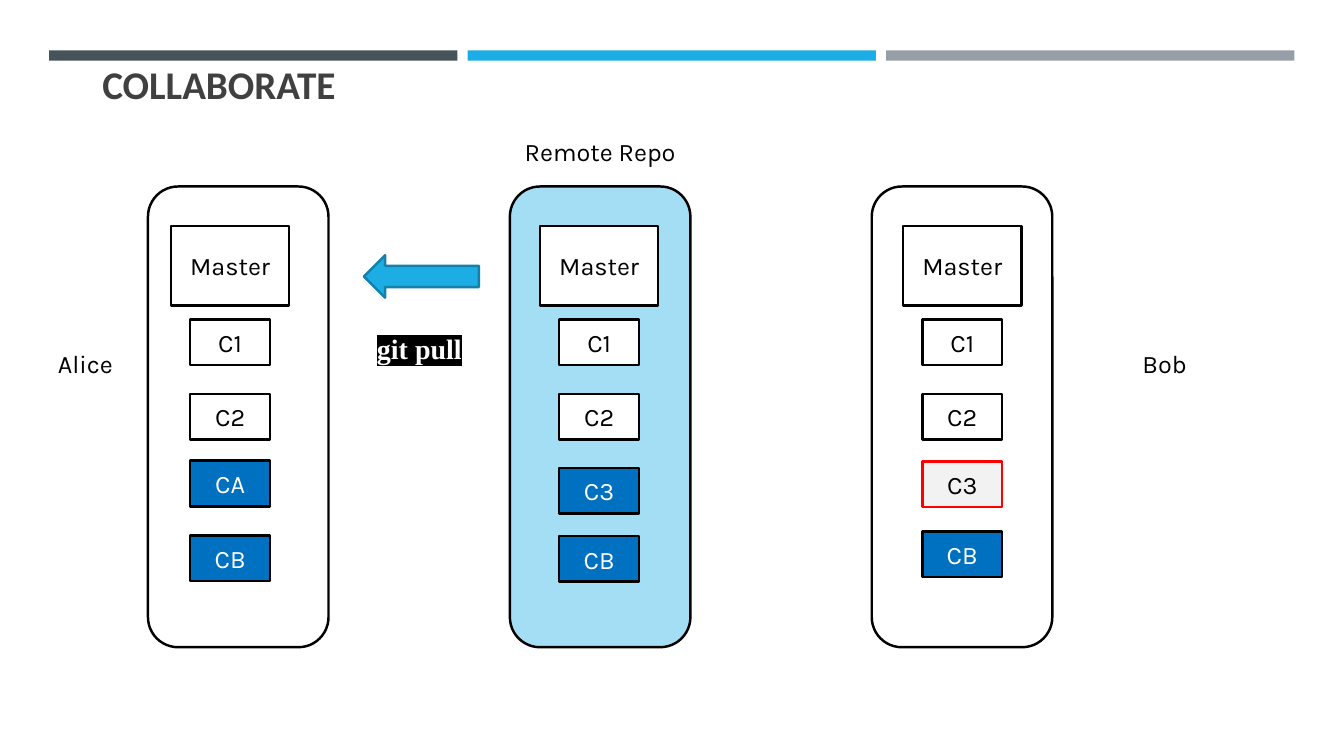
from lxml.etree import SubElement
from pptx import Presentation
from pptx.dml.color import RGBColor
from pptx.enum.shapes import MSO_SHAPE
from pptx.enum.text import MSO_ANCHOR, PP_ALIGN
from pptx.oxml.ns import qn
from pptx.util import Cm, Pt

BLACK = RGBColor(0x00, 0x00, 0x00)
WHITE = RGBColor(0xFF, 0xFF, 0xFF)
SLATE = RGBColor(0x46, 0x53, 0x59)
SKY = RGBColor(0x1C, 0xAD, 0xE4)
SKY_DARK = RGBColor(0x15, 0x80, 0xA9)
SKY_LIGHT = RGBColor(0xA4, 0xDE, 0xF4)
GREY = RGBColor(0x96, 0x9F, 0xA7)
TITLE_GREY = RGBColor(0x40, 0x40, 0x40)
BLUE = RGBColor(0x00, 0x70, 0xC0)
PALE_GREY = RGBColor(0xF2, 0xF2, 0xF2)
RED = RGBColor(0xFF, 0x00, 0x00)

REPO_WIDTH, REPO_HEIGHT = 4.55, 11.61
MASTER_WIDTH, MASTER_HEIGHT = 2.98, 2.01
COMMIT_WIDTH, COMMIT_HEIGHT = 2.01, 1.15


def write_text(shape, text, size=18, font="Karla", color=BLACK, bold=False,
               align=PP_ALIGN.CENTER, anchor=MSO_ANCHOR.MIDDLE, highlight=None):
    frame = shape.text_frame
    frame.word_wrap = True
    frame.vertical_anchor = anchor
    paragraph = frame.paragraphs[0]
    paragraph.alignment = align
    run = paragraph.add_run()
    run.text = text
    run.font.size = Pt(size)
    run.font.bold = bold
    run.font.color.rgb = color
    if highlight is not None:
        mark = SubElement(run.font._element, qn("a:highlight"))
        SubElement(mark, qn("a:srgbClr"), val=str(highlight))
    run.font.name = font


def add_label(slide, box, text, anchor=MSO_ANCHOR.TOP, **text_format):
    label = slide.shapes.add_textbox(*map(Cm, box))
    write_text(label, text, anchor=anchor, **text_format)


def add_block(slide, kind, box, fill, line=None):
    block = slide.shapes.add_shape(kind, *map(Cm, box))
    block.shadow.inherit = False
    block.fill.solid()
    block.fill.fore_color.rgb = fill
    if line is None:
        block.line.fill.background()
    else:
        block.line.color.rgb = line
        block.line.width = Pt(1.75)
    return block


def add_header(slide, left, top, width):
    # Three coloured bars with the title below
    gap = 0.26
    bar_width = (width - 2 * gap) / 3
    for index, color in enumerate((SLATE, SKY, GREY)):
        bar_left = left + index * (bar_width + gap)
        add_block(slide, MSO_SHAPE.RECTANGLE, (bar_left, top, bar_width, 0.26), color)
    add_label(slide, (left + 1.09, top - 0.25, 28.93, 1.8), "COLLABORATE", size=28,
              font="Calibri", color=TITLE_GREY, bold=True, align=PP_ALIGN.LEFT,
              anchor=MSO_ANCHOR.BOTTOM)


def add_repository(slide, left, top, fill, inset, commits):
    add_block(slide, MSO_SHAPE.ROUNDED_RECTANGLE,
              (left, top, REPO_WIDTH, REPO_HEIGHT), fill, BLACK)

    # Branch box
    master_left = left + inset
    master = add_block(slide, MSO_SHAPE.RECTANGLE,
                       (master_left, top + 0.99, MASTER_WIDTH, MASTER_HEIGHT), WHITE, BLACK)
    write_text(master, "Master")

    # Commits, centred below the branch box
    commit_left = master_left + (MASTER_WIDTH - COMMIT_WIDTH) / 2
    shared = [("C1", 3.35, WHITE, BLACK, BLACK), ("C2", 5.23, WHITE, BLACK, BLACK)]
    for name, offset, commit_fill, line, color in shared + commits:
        commit = add_block(slide, MSO_SHAPE.RECTANGLE,
                           (commit_left, top + offset, COMMIT_WIDTH, COMMIT_HEIGHT),
                           commit_fill, line)
        write_text(commit, name, color=color)


def add_pull(slide, left, top):
    # Arrow from the remote to Alice, with its command
    arrow = add_block(slide, MSO_SHAPE.RIGHT_ARROW, (left, top, 2.9, 1.07), SKY, SKY_DARK)
    arrow.rotation = 180
    add_label(slide, (left + 0.08, top + 1.8, 4.22, 1.12), "git pull", size=20,
              font="Times New Roman", color=WHITE, bold=True,
              align=PP_ALIGN.LEFT, highlight=BLACK)


def main():
    presentation = Presentation()
    presentation.slide_width = Cm(33.87)
    presentation.slide_height = Cm(19.05)
    slide = presentation.slides.add_slide(presentation.slide_layouts[6])

    add_header(slide, 1.24, 1.27, 31.38)

    # Repositories: Alice, remote, Bob
    pushed = (BLUE, BLACK, WHITE)
    repositories = [
        (WHITE, 0.58, [("CA", 6.91, *pushed), ("CB", 8.79, *pushed)]),
        (SKY_LIGHT, 0.76, [("C3", 7.09, *pushed), ("CB", 8.81, *pushed)]),
        (WHITE, 0.79, [("C3", 6.93, PALE_GREY, RED, BLACK), ("CB", 8.69, *pushed)]),
    ]
    for index, (fill, inset, commits) in enumerate(repositories):
        add_repository(slide, 3.73 + index * 9.12, 4.7, fill, inset, commits)

    # Owners
    add_label(slide, (0.58, 8.66, 3.15, 1.02), "Alice")
    add_label(slide, (12.85, 3.3, REPO_WIDTH, 1.02), "Remote Repo")
    add_label(slide, (27.84, 8.66, 3.02, 1.02), "Bob")

    add_pull(slide, 9.17, 6.43)
    presentation.save("out.pptx")


if __name__ == "__main__":
    main()
